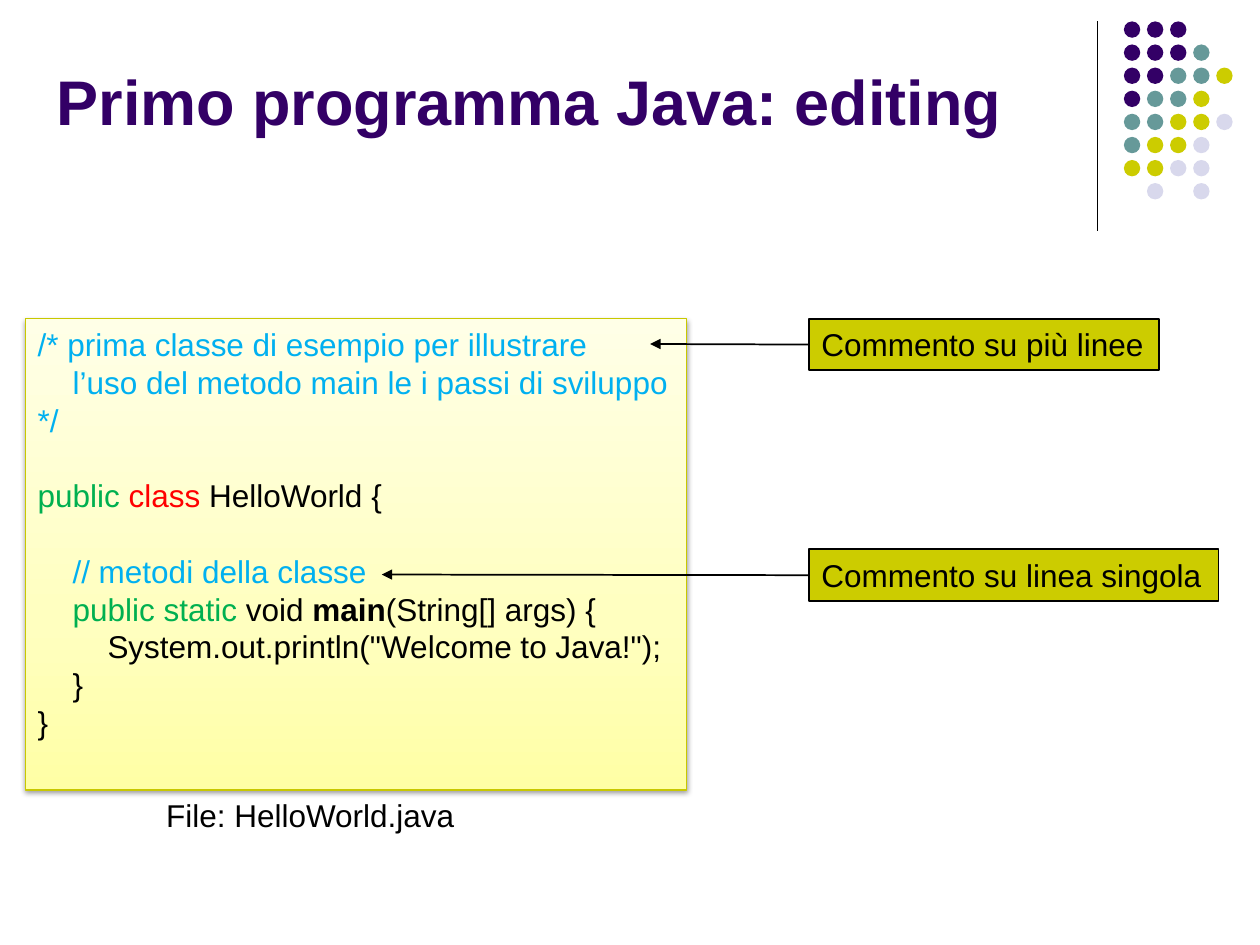
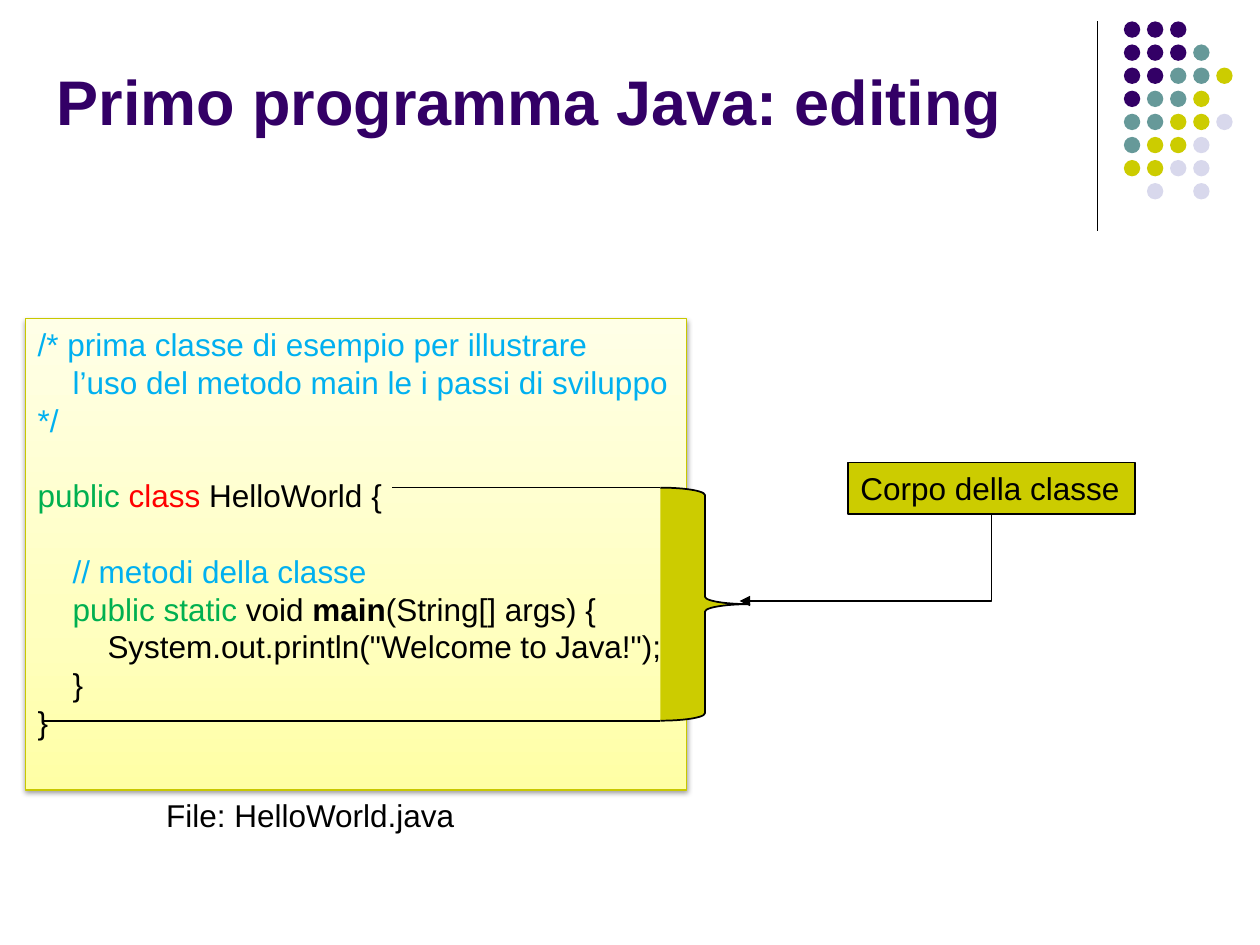
from dataclasses import dataclass

from lxml import etree
from pptx import Presentation
from pptx.dml.color import RGBColor
from pptx.enum import shapes, text
from pptx.oxml import parse_xml
from pptx.oxml.ns import nsdecls, qn
from pptx.util import Inches, Pt


@dataclass(frozen=True)
class Theme:
    font: str = "Arial"
    title_size: float = 36
    body_size: float = 18
    line_height: float = 21.6
    ink: str = "000000"
    purple: str = "330066"
    teal: str = "669999"
    olive: str = "CCCC00"
    lilac: str = "D8D8EC"
    code_border: str = "C8C800"
    comment: str = "00B0F0"
    modifier: str = "00B050"
    keyword: str = "FF0000"


THEME = Theme()
TITLE = "Primo programma Java: editing"
CODE_BOX = (0.2, 2.53, 5.25, 3.74)
CODE_GRADIENT = ((0, "FFFFA5"), (35, "FFFFBF"), (100, "FFFFE7"))
DOT_ROWS = ("PPP", "PPPT", "PPTTO", "PTTO", "TTOOL", "TOOL", "OOLL", " L L")
DOT_COLORS = {"P": THEME.purple, "T": THEME.teal,
              "O": THEME.olive, "L": THEME.lilac}

# Each line is a list of (text, colour, bold) runs; an empty list is a gap.
CODE = [
    [("/* prima classe di esempio per illustrare", THEME.comment, False)],
    [("    l’uso del metodo main le i passi di sviluppo", THEME.comment, False)],
    [("*/", THEME.comment, False)],
    [],
    [("public ", THEME.modifier, False), ("class ", THEME.keyword, False),
     ("HelloWorld {", THEME.ink, False)],
    [],
    [("    // metodi della classe", THEME.comment, False)],
    [("    ", THEME.ink, False), ("public static ", THEME.modifier, False),
     ("void ", THEME.ink, False), ("main", THEME.ink, True),
     ("(String[] args) {", THEME.ink, False)],
    [('        System.out.println("Welcome to Java!");', THEME.ink, False)],
    [("    }", THEME.ink, False)],
    [("}", THEME.ink, False)],
]


def rgb(value):
    return RGBColor.from_string(value)


def box_inches(box):
    return [Inches(value) for value in box]


def write_text(frame, lines, size=THEME.body_size, anchor=text.MSO_ANCHOR.TOP,
               line_height=THEME.line_height):
    """Fill a frame with lines of (text, colour, bold) runs."""
    frame.word_wrap = True
    frame.auto_size = text.MSO_AUTO_SIZE.NONE
    frame.vertical_anchor = anchor
    paragraph = frame.paragraphs[0]
    gap = 0
    for index, line in enumerate(lines):
        if not line:
            gap += line_height
            continue
        if index:
            paragraph = frame.add_paragraph()
        paragraph.alignment = text.PP_ALIGN.LEFT
        if line_height:
            paragraph.line_spacing = Pt(line_height)
        if gap:
            paragraph.space_before = Pt(gap)
            gap = 0
        for content, color, bold in line:
            run = paragraph.add_run()
            run.text = content
            run.font.name = THEME.font
            run.font.size = Pt(size)
            run.font.bold = bold
            run.font.color.rgb = rgb(color)


def add_filled_shape(parent, kind, box, fill=THEME.olive, line=THEME.ink, width=1):
    shape = parent.add_shape(kind, *box_inches(box))
    shape.shadow.inherit = False
    shape.fill.solid()
    shape.fill.fore_color.rgb = rgb(fill)
    if line:
        shape.line.color.rgb = rgb(line)
        shape.line.width = Pt(width)
    else:
        shape.line.fill.background()
    return shape


def style_connector(connector, width=1, arrow=False):
    connector.line.color.rgb = rgb(THEME.ink)
    connector.line.width = Pt(width)
    if arrow:
        etree.SubElement(connector.line._get_or_add_ln(), qn("a:tailEnd"),
                         type="triangle")
    etree.SubElement(connector._element.spPr, qn("a:effectLst"))


def add_line(slide, start, end, **style):
    connector = slide.shapes.add_connector(
        shapes.MSO_CONNECTOR.STRAIGHT, *box_inches(start + end))
    style_connector(connector, **style)
    return connector


def add_corner_arrow(slide, start, end):
    """Draw an arrow that goes down from start, then left to end."""
    down, across = end[1] - start[1], start[0] - end[0]
    left = (start[0] + end[0] - down) / 2
    top = (start[1] + end[1] - across) / 2
    connector = slide.shapes.add_connector(
        shapes.MSO_CONNECTOR.ELBOW,
        *box_inches((left, top, left + down, top + across)))
    geometry = connector._element.spPr.find(qn("a:prstGeom"))
    geometry.set("prst", "bentConnector2")
    connector._element.spPr.find(qn("a:xfrm")).set("rot", "5400000")
    style_connector(connector, arrow=True)


def add_dot_pattern(slide, left, top, size=0.13, pitch=0.55 / 3):
    group = slide.shapes.add_group_shape()
    for row, codes in enumerate(DOT_ROWS):
        for column, code in enumerate(codes):
            if code in DOT_COLORS:
                box = (left + column * pitch, top + row * pitch, size, size)
                add_filled_shape(group.shapes, shapes.MSO_SHAPE.OVAL, box,
                                 fill=DOT_COLORS[code], line=None)
    return group


def decorate_layout(layout, slide):
    """Build the corner ornament on a slide and move it into its layout."""
    rule = add_line(slide, (8.71, 0.17), (8.71, 1.83), width=0.75)
    dots = add_dot_pattern(slide, 8.92, 0.17)
    tree = layout.element.cSld.spTree
    for ornament in (rule, dots):
        tree.append(ornament._element)
    for number, properties in enumerate(tree.iter(qn("p:cNvPr")), start=1):
        properties.set("id", str(number))


def add_title(slide):
    title = slide.shapes.title
    title.left, title.top, title.width, title.height = box_inches(
        (0.35, -0.27, 8.25, 1.42))
    write_text(title.text_frame, [[(TITLE, THEME.purple, True)]],
               size=THEME.title_size, anchor=text.MSO_ANCHOR.BOTTOM,
               line_height=None)


def add_code_panel(slide, box):
    """Draw the listing with its file name underneath."""
    left, top, width, height = box
    panel = add_filled_shape(slide.shapes, shapes.MSO_SHAPE.RECTANGLE, box,
                             line=THEME.code_border, width=0.75)
    properties = panel._element.spPr
    stops = "".join(
        f'<a:gs pos="{position * 1000}"><a:srgbClr val="{color}"/></a:gs>'
        for position, color in CODE_GRADIENT)
    properties.replace(properties.find(qn("a:solidFill")), parse_xml(
        f'<a:gradFill {nsdecls("a")} rotWithShape="1"><a:gsLst>{stops}</a:gsLst>'
        '<a:lin ang="16200000" scaled="0"/></a:gradFill>'))
    properties.find(qn("a:effectLst")).append(parse_xml(
        f'<a:outerShdw {nsdecls("a")} blurRad="40000" dist="20000" dir="5400000" '
        f'rotWithShape="0"><a:srgbClr val="{THEME.ink}"><a:alpha val="38000"/>'
        '</a:srgbClr></a:outerShdw>'))
    write_text(panel.text_frame, CODE)
    caption = slide.shapes.add_textbox(
        *box_inches((left + 1.02, top + height, 2.51, 0.4)))
    write_text(caption.text_frame, [[("File: HelloWorld.java", THEME.ink, False)]])


def add_callout(slide, label, left, top, width):
    callout = add_filled_shape(slide.shapes, shapes.MSO_SHAPE.RECTANGLE,
                               (left, top, width, 0.41))
    write_text(callout.text_frame, [[(label, THEME.ink, False)]])
    return callout


def add_comment_notes(slide, box):
    left, top = box[:2]
    callout_left = left + 6.22
    for label, offset, width, target in (
            ("Commento su più linee", 0, 2.78, (4.96, 0.2)),
            ("Commento su linea singola", 1.83, 3.25, (2.83, 2.03))):
        callout = add_callout(slide, label, callout_left, top + offset, width)
        tip = (left + target[0], top + target[1])
        arrow = add_line(slide, (callout_left, tip[1]), tip, arrow=True)
        arrow.begin_connect(callout, 1)


def add_class_body_note(slide, box):
    left, top = box[:2]
    brace_left, brace_top, brace_height = left + 5.04, top + 1.34, 1.85
    brace_bottom = brace_top + brace_height
    add_callout(slide, "Corpo della classe", left + 6.53, top + 1.14, 2.28)
    add_filled_shape(slide.shapes, shapes.MSO_SHAPE.RIGHT_BRACE,
                     (brace_left, brace_top, 0.71, brace_height))
    for y, end in ((brace_top, left + 2.91), (brace_bottom, left + 0.15)):
        add_line(slide, (brace_left, y), (end, y))
    add_corner_arrow(slide, (left + 7.67, top + 1.55), (left + 5.67, top + 2.24))


def main():
    presentation = Presentation()
    presentation.slide_width = Inches(10)
    presentation.slide_height = Inches(7.5)
    layout = presentation.slide_layouts[5]
    for index, add_notes in enumerate((add_comment_notes, add_class_body_note)):
        slide = presentation.slides.add_slide(layout)
        if index == 0:
            decorate_layout(layout, slide)
        add_title(slide)
        add_code_panel(slide, CODE_BOX)
        add_notes(slide, CODE_BOX)
    presentation.save("out.pptx")


if __name__ == "__main__":
    main()
